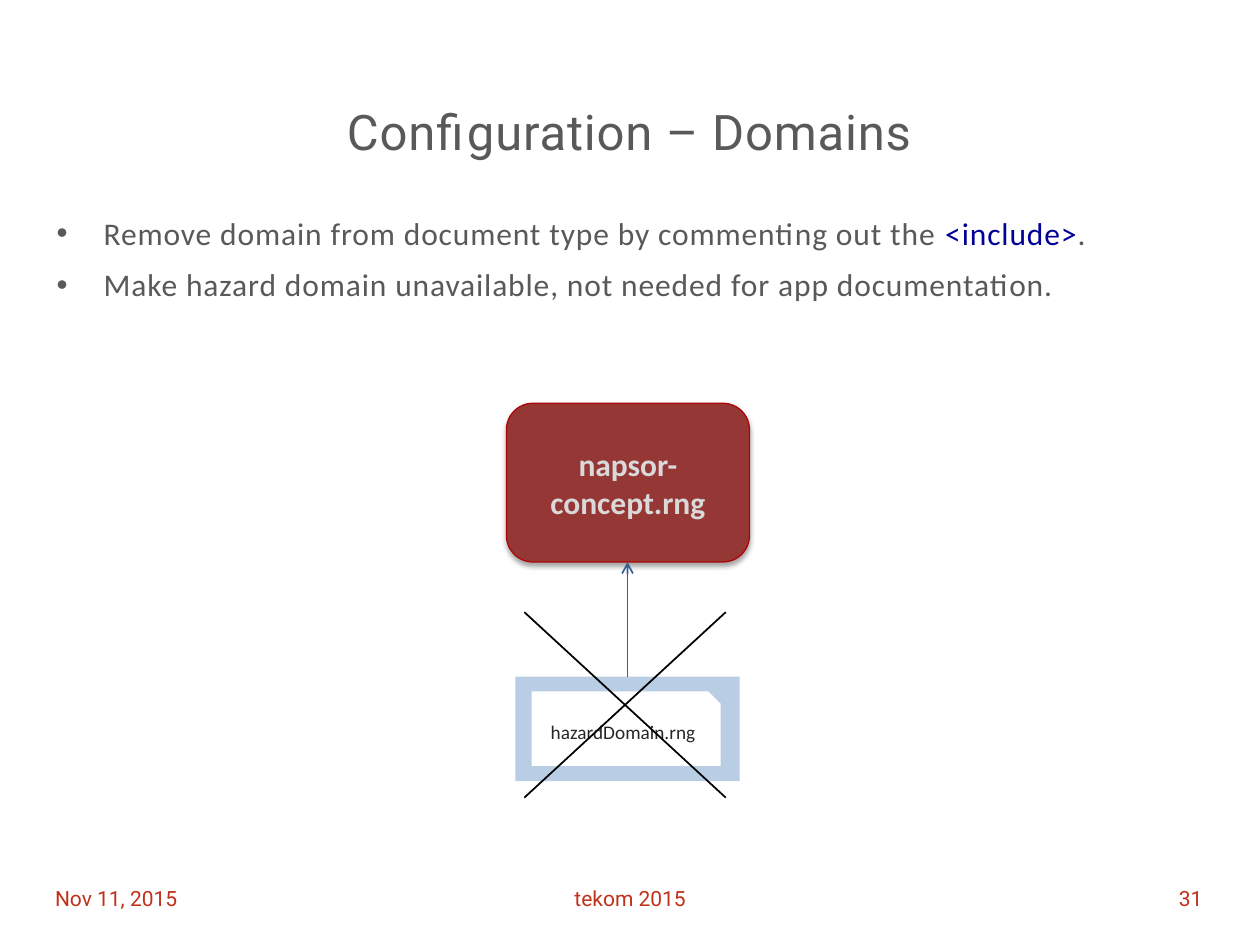
from lxml.etree import SubElement
from pptx import Presentation
from pptx.dml.color import RGBColor
from pptx.enum.shapes import MSO_CONNECTOR, MSO_SHAPE
from pptx.enum.text import MSO_ANCHOR as Anchor, PP_ALIGN as Align
from pptx.oxml.ns import qn
from pptx.util import Cm, Pt

GREY, RED, NAVY, BLACK = "595959", "C0311A", "000096", "000000"


def color(code):
    return RGBColor.from_string(code)


class SlideBuilder:
    heading_font = "Roboto"
    body_font = "Calibri"
    letter_spacing = "50"

    def __init__(self, slide):
        self.slide = slide

    def fill_paragraph(self, paragraph, parts, font, size, code, align=Align.LEFT,
                       bold=False, spaced=False):
        """Fill a paragraph with (text, colour) parts; no colour means the base one."""
        paragraph.alignment = align
        paragraph.font.name = font
        paragraph.font.size = Pt(size)
        paragraph.font.bold = bold
        paragraph.font.color.rgb = color(code)
        for text, own_code in parts:
            run = paragraph.add_run()
            run.text = text
            if own_code:
                run.font.color.rgb = color(own_code)
            if spaced:
                run._r.get_or_add_rPr().set("spc", self.letter_spacing)

    def text_frame(self, box, anchor):
        text_box = self.slide.shapes.add_textbox(*map(Cm, box))
        frame = text_box.text_frame
        frame.word_wrap = True
        frame.vertical_anchor = anchor
        return frame

    def label(self, box, text, size, code, align, anchor=Anchor.MIDDLE, spaced=False):
        frame = self.text_frame(box, anchor)
        self.fill_paragraph(frame.paragraphs[0], [(text, None)], self.heading_font, size, code,
                            align, spaced=spaced)

    def bullets(self, box, items):
        frame = self.text_frame(box, Anchor.TOP)
        for index, parts in enumerate(items):
            paragraph = frame.add_paragraph() if index else frame.paragraphs[0]
            properties = paragraph._p.get_or_add_pPr()
            properties.set("marL", str(Cm(0.95)))
            properties.set("indent", str(-Cm(0.95)))
            SubElement(properties, qn("a:buFont")).set("typeface", "Arial")
            SubElement(properties, qn("a:buChar")).set("char", "•")
            paragraph.line_spacing = Pt(23.6)
            if index:
                paragraph.space_before = Pt(6)
            self.fill_paragraph(paragraph, parts, self.body_font, 18, GREY, spaced=True)

    def block(self, kind, box, fill, text="", size=18, code=BLACK, bold=False, outline=None):
        shape = self.slide.shapes.add_shape(kind, *map(Cm, box))
        shape.shadow.inherit = False
        shape.fill.solid()
        shape.fill.fore_color.rgb = color(fill)
        if outline:
            shape.line.color.rgb = color(outline)
            shape.line.width = Pt(0.75)
        else:
            shape.line.fill.background()
        if text:
            frame = shape.text_frame
            frame.word_wrap = True
            frame.vertical_anchor = Anchor.MIDDLE
            self.fill_paragraph(frame.paragraphs[0], [(text, None)], self.body_font, size, code,
                                Align.CENTER, bold)
        return shape

    def drop_shadow(self, shape):
        effects = shape._element.spPr.find(qn("a:effectLst"))
        shadow = SubElement(effects, qn("a:outerShdw"), blurRad=str(Pt(3.1)), dist=str(Pt(1.8)),
                            dir="5400000", rotWithShape="0")
        tint = SubElement(shadow, qn("a:srgbClr"), val=BLACK)
        SubElement(tint, qn("a:alpha"), val="35000")

    def line(self, start, end, code, arrow=False):
        connector = self.slide.shapes.add_connector(MSO_CONNECTOR.STRAIGHT,
                                                    *map(Cm, start + end))
        connector.line.color.rgb = color(code)
        connector.line.width = Pt(1)
        if arrow:
            SubElement(connector.line._get_or_add_ln(), qn("a:tailEnd"), type="arrow")
        SubElement(connector._element.spPr, qn("a:effectLst"))


def main():
    presentation = Presentation()
    presentation.slide_width, presentation.slide_height = Cm(25.4), Cm(19.05)
    builder = SlideBuilder(presentation.slides.add_slide(presentation.slide_layouts[6]))

    # Footer
    for left, width, text, align in (
        (8.97, 7.47, "tekom 2015", Align.CENTER),
        (0.86, 5.92, "Nov 11, 2015", Align.LEFT),
        (18.57, 5.92, "31", Align.RIGHT),
    ):
        builder.label((left, 17.6, width, 1.02), text, 12, RED, align)

    # Title and bullets
    builder.label((0.89, 1.93, 23.6, 1.19), "Configuration – Domains", 28, GREY,
                  Align.CENTER, Anchor.TOP, spaced=True)
    builder.bullets((0.89, 4.11, 23.6, 13), [
        [("Remove domain from document type by commenting out the ", None),
         ("<include>", NAVY), (".", None)],
        [("Make hazard domain unavailable, not needed for app documentation.", None)],
    ])

    # Document type and its domain
    document_type = builder.block(MSO_SHAPE.ROUNDED_RECTANGLE, (10.21, 8.13, 4.9, 3.2), "953735",
                                  "napsor-concept.rng", 18, "D9D9D9", True, "AC0608")
    builder.drop_shadow(document_type)
    builder.block(MSO_SHAPE.RECTANGLE, (10.39, 13.64, 4.52, 2.11), "B9CDE5")
    builder.block(MSO_SHAPE.SNIP_1_RECTANGLE, (10.72, 13.94, 3.81, 1.5), "FFFFFF",
                  "hazardDomain.rng", 11, "262626")
    builder.line((12.65, 13.64), (12.65, 11.33), "376092", arrow=True)

    # Cross over the removed domain
    left, top, right, bottom = 10.57, 12.34, 14.63, 16.08
    builder.line((left, top), (right, bottom), BLACK)
    builder.line((right, top), (left, bottom), BLACK)

    presentation.save("out.pptx")


if __name__ == "__main__":
    main()
